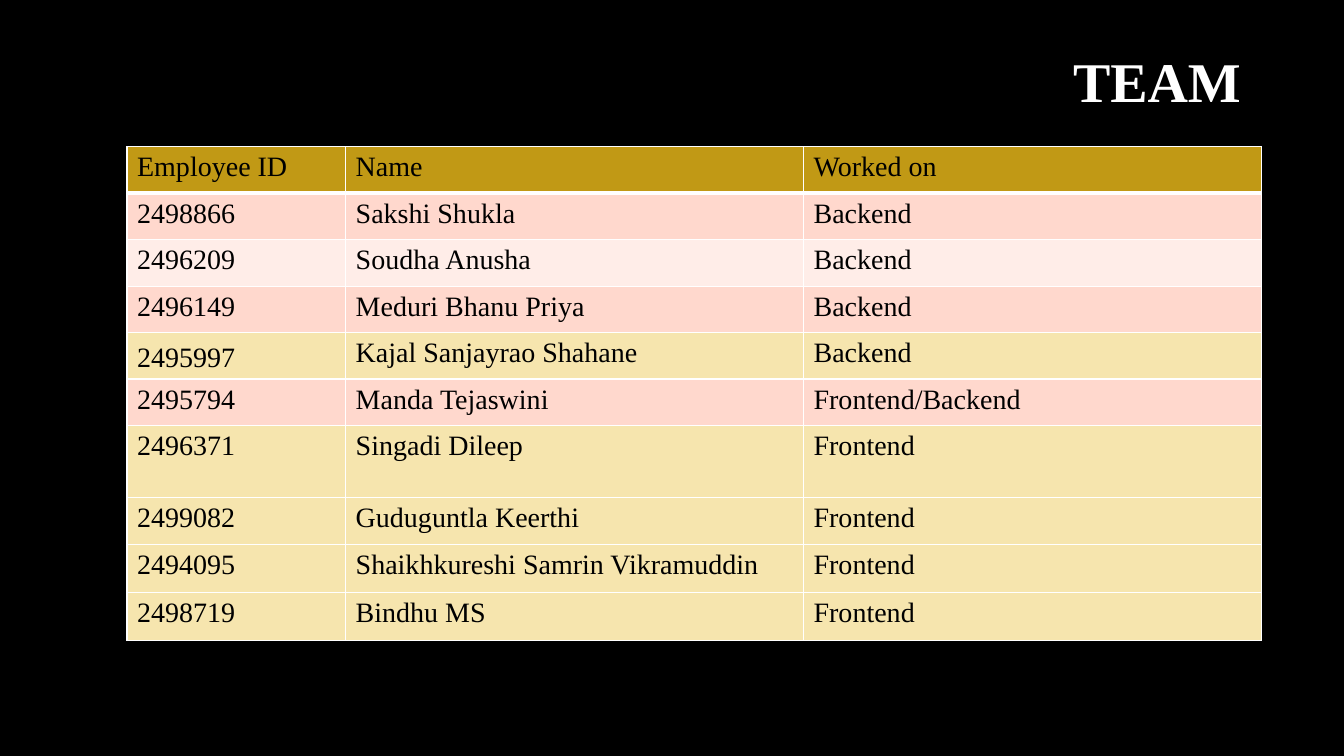
"""Build the team slide: a title and a table of who worked on what."""
import pptx
import pptx.dml.color
import pptx.enum.text
import pptx.oxml.ns
import pptx.util
import lxml.etree
from pptx.util import Cm, Pt

HEAD = ("Employee ID", "Name", "Worked on")
TEAM = [
    ("2498866", "Sakshi Shukla", "Backend", "rose"),
    ("2496209", "Soudha Anusha", "Backend", "blush"),
    ("2496149", "Meduri Bhanu Priya", "Backend", "rose"),
    ("2495997", "Kajal Sanjayrao Shahane", "Backend", "sand"),
    ("2495794", "Manda Tejaswini", "Frontend/Backend", "rose"),
    ("2496371", "Singadi Dileep", "Frontend", "sand"),
    ("2499082", "Guduguntla Keerthi", "Frontend", "sand"),
    ("2494095", "Shaikhkureshi Samrin Vikramuddin", "Frontend", "sand"),
    ("2498719", "Bindhu MS", "Frontend", "sand"),
]
LOW = "2495997"
WIDTHS = (5.51, 11.54, 11.54)
HEIGHTS = [1.17] * 6 + [1.81] + [1.2] * 3
THEME = {
    "font": "Times New Roman", "title": 40, "body": 20,
    "black": "000000", "white": "FFFFFF", "gold": "C19915",
    "rose": "FFD8CD", "blush": "FFEDE8", "sand": "F6E5AE",
}
ALIGN = pptx.enum.text.PP_ALIGN
ANCHOR = pptx.enum.text.MSO_ANCHOR


def paint(fill, color):
    fill.solid()
    fill.fore_color.rgb = pptx.dml.color.RGBColor.from_string(THEME[color])


def write(frame, text, size="body", color="black", bold=False,
          align=ALIGN.LEFT, space=1.0):
    line = frame.paragraphs[0]
    line.alignment, line.line_spacing = align, space
    run = line.add_run()
    run.text = text
    run.font.name, run.font.size, run.font.bold = THEME["font"], Pt(THEME[size]), bold
    paint(run.font.fill, color)


def border(cell, **widths):
    props = cell._tc.get_or_add_tcPr()
    name = pptx.oxml.ns.qn
    for side in "LRTB":
        line = lxml.etree.SubElement(props, name(f"a:ln{side}"),
                                     w=str(Pt(widths.get(side, 1))))
        fill = lxml.etree.SubElement(line, name("a:solidFill"))
        lxml.etree.SubElement(fill, name("a:srgbClr"), val=THEME["white"])


def main():
    deck = pptx.Presentation()
    deck.slide_width, deck.slide_height = Cm(33.87), Cm(19.05)
    slide = deck.slides.add_slide(deck.slide_layouts[6])
    paint(slide.background.fill, "black")

    frame = slide.shapes.add_textbox(Cm(3.68), Cm(0.53), Cm(27.84), Cm(3.18)).text_frame
    frame.word_wrap = True
    frame.vertical_anchor = ANCHOR.MIDDLE
    write(frame, "TEAM", size="title", color="white", bold=True,
          align=ALIGN.RIGHT, space=0.9)

    rows = [(*HEAD, "gold"), *TEAM]
    table = slide.shapes.add_table(len(rows), len(HEAD), Cm(3.2), Cm(3.7),
                                   Cm(sum(WIDTHS)), Cm(sum(HEIGHTS))).table
    for col, width in zip(table.columns, WIDTHS):
        col.width = Cm(width)
    rules = {0: {"B": 3}, 1: {"T": 3}}
    for r, (*texts, color) in enumerate(rows):
        table.rows[r].height = Cm(HEIGHTS[r])
        for c, text in enumerate(texts):
            cell = table.cell(r, c)
            cell.vertical_anchor = ANCHOR.BOTTOM if text == LOW else ANCHOR.TOP
            border(cell, **rules.get(r, {}))
            paint(cell.fill, color)
            write(cell.text_frame, text)
    deck.save("out.pptx")


if __name__ == "__main__":
    main()
